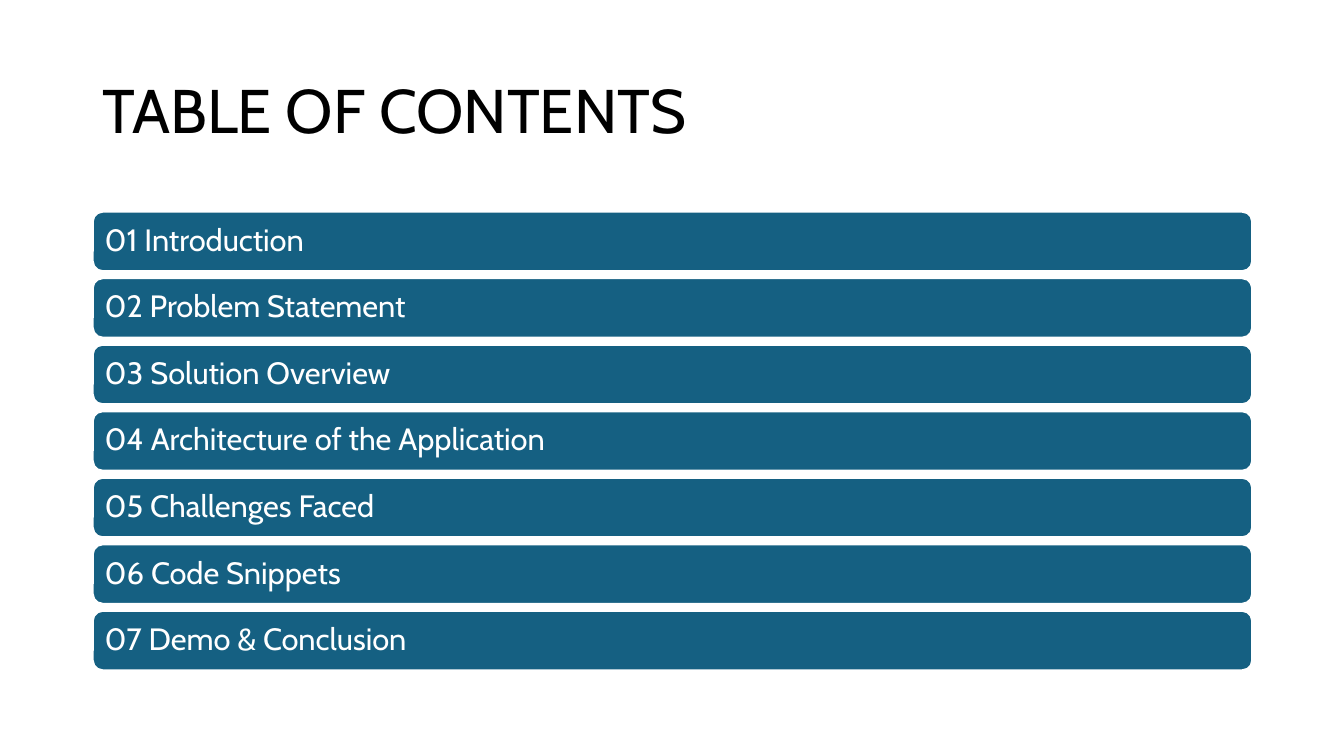
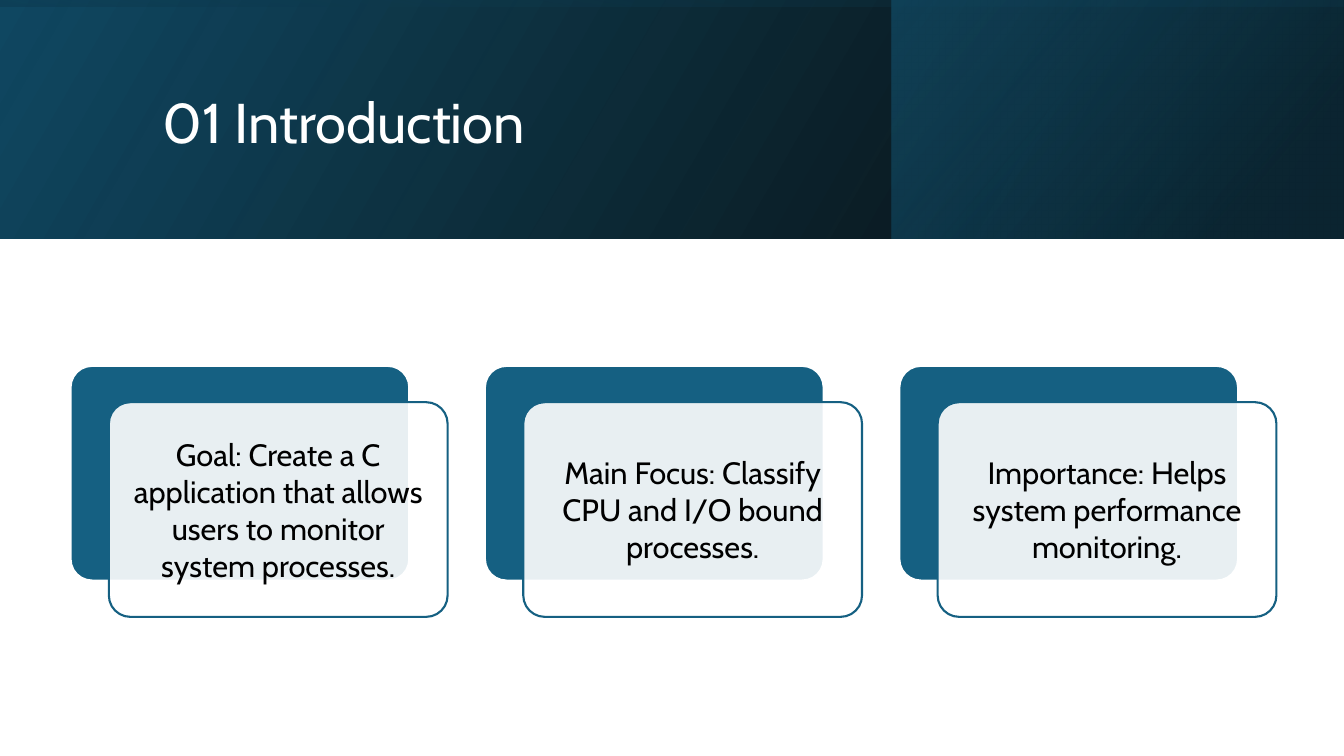
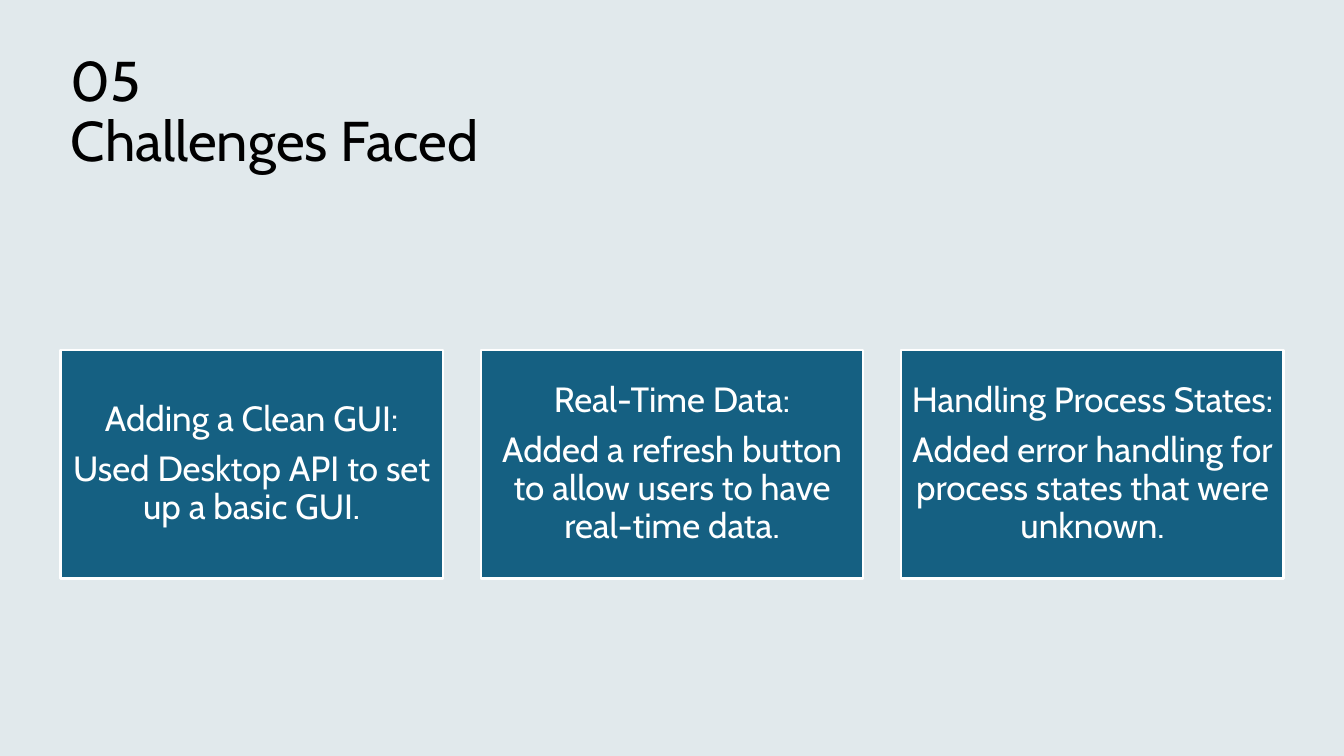
import lxml.etree
import pptx
import pptx.dml.color
import pptx.enum.shapes
import pptx.enum.text
import pptx.oxml.ns
import pptx.util

Inches = pptx.util.Inches
Pt = pptx.util.Pt
qn = pptx.oxml.ns.qn
KIND = pptx.enum.shapes.MSO_SHAPE
ALIGN = pptx.enum.text.PP_ALIGN
FONT = "Cabin"
HUES = {
    "white": "FFFFFF",
    "black": "000000",
    "blue": "156082",
    "navy": "104862",
    "deep": "0B3041",
    "grey": "F2F2F2",
    "tint": "0B76A0",
}


def hue(name):
    return pptx.dml.color.RGBColor.from_string(HUES[name])


def write(shape, text, size=22, color="white", align=ALIGN.LEFT, lead=0.9, gap=0, inset=0.09):
    frame = shape.text_frame
    frame.word_wrap = True
    frame.auto_size = pptx.enum.text.MSO_AUTO_SIZE.NONE
    frame.vertical_anchor = pptx.enum.text.MSO_ANCHOR.MIDDLE
    frame.margin_left = frame.margin_right = Inches(inset)
    frame.margin_top = frame.margin_bottom = Inches(inset)
    lines = [text] if isinstance(text, str) else text
    for row, line in enumerate(lines):
        para = frame.add_paragraph() if row else frame.paragraphs[0]
        para.text = line
        para.alignment = align
        para.line_spacing = lead
        para.space_before = Pt(gap if row else 0)
        for run in para.runs:
            run.font.name = FONT
            run.font.size = Pt(size)
            run.font.color.rgb = hue(color)


def place(shape, box):
    shape.left, shape.top, shape.width, shape.height = map(Inches, box)


def title(slide, text, box, size=40, color="black"):
    head = slide.shapes.title
    place(head, box)
    write(head, text, size=size, color=color, inset=0.1)
    slide.shapes._spTree.append(head._element)


def fade(shape, *parts):
    for node, part in zip(shape._element.spPr.iter(qn("a:srgbClr")), parts):
        lxml.etree.SubElement(node, qn("a:alpha")).set("val", str(part * 1000))


def block(slide, box, fill="blue", line=None, kind=KIND.RECTANGLE, round=None, alpha=100):
    shape = slide.shapes.add_shape(kind, *map(Inches, box))
    shape.shadow.inherit = False
    if round is not None:
        shape.adjustments[0] = round
    shape.fill.solid()
    shape.fill.fore_color.rgb = hue(fill)
    if alpha < 100:
        fade(shape, alpha)
    if line:
        shape.line.color.rgb = hue(line)
        shape.line.width = Pt(1.5)
    else:
        shape.line.fill.background()
    return shape


def band(slide, box, stops, angle, turn=0):
    shape = block(slide, box)
    shape.fill.gradient()
    shape.fill.gradient_angle = angle
    for stop, (spot, name, part) in zip(shape.fill.gradient_stops, stops):
        stop.position = spot
        stop.color.rgb = hue(name)
    fade(shape, *[part for spot, name, part in stops])
    shape.rotation = turn
    shape._element.spPr.find(qn("a:xfrm")).set("flipH", "1")


def contents(slide):
    title(slide, "TABLE OF CONTENTS", (0.92, 0.4, 11.5, 1.45), size=44)
    names = [
        "Introduction",
        "Problem Statement",
        "Solution Overview",
        "Architecture of the Application",
        "Challenges Faced",
        "Code Snippets",
        "Demo & Conclusion",
    ]
    for row, name in enumerate(names):
        bar = block(slide, (0.92, 2.1 + 0.66 * row, 11.5, 0.59),
                    line="white", kind=KIND.ROUNDED_RECTANGLE)
        write(bar, f"{row + 1:02} {name}")


def intro(slide):
    wide, high = 13.33, 2.37
    band(slide, (0, 0, wide, high), [(0, "black", 96), (1, "navy", 100)], 30)
    band(slide, (8.84, 0, 4.48, high), [(0.19, "deep", 68), (1, "blue", 48)], 40)
    side = (wide - high) / 2
    band(slide, (side, -side, high, wide),
         [(0.23, "navy", 16), (0.99, "black", 45)], 10, turn=270)
    title(slide, "01 Introduction", (1.51, 0.38, 10.63, 1.72), color="white")
    goals = [
        "Goal: Create a C application that allows users to monitor system processes.",
        "Main Focus: Classify CPU and I/O bound processes.",
        "Importance: Helps system performance monitoring.",
    ]
    form = {"kind": KIND.ROUNDED_RECTANGLE, "round": 0.1}
    for col, goal in enumerate(goals):
        left = 0.7 + 4.11 * col
        block(slide, (left, 3.63, 3.36, 2.13), line="white", **form)
        card = block(slide, (left + 0.38, 3.99, 3.36, 2.13),
                     fill="white", line="blue", alpha=90, **form)
        write(card, goal, color="black", align=ALIGN.CENTER, lead=1.0)


def issues(slide):
    full = (0, 0, 13.33, 7.5)
    block(slide, full, fill="grey")
    block(slide, full, fill="tint", alpha=7)
    title(slide, "05\nChallenges Faced", (0.6, 0.4, 12.13, 1.45))
    pairs = [
        ("Adding a Clean GUI:", "Used Desktop API to set up a basic GUI."),
        ("Real-Time Data:", "Added a refresh button to allow users to have real-time data."),
        ("Handling Process States:", "Added error handling for process states that were unknown."),
    ]
    for col, pair in enumerate(pairs):
        card = block(slide, (0.6 + 4.17 * col, 3.47, 3.79, 2.27), line="white")
        write(card, pair, size=25, align=ALIGN.CENTER, gap=8.75, inset=0.1)


def main():
    deck = pptx.Presentation()
    deck.slide_width = Inches(13.33)
    deck.slide_height = Inches(7.5)
    for build in (contents, intro, issues):
        build(deck.slides.add_slide(deck.slide_layouts[5]))
    deck.save("out.pptx")


if __name__ == "__main__":
    main()
